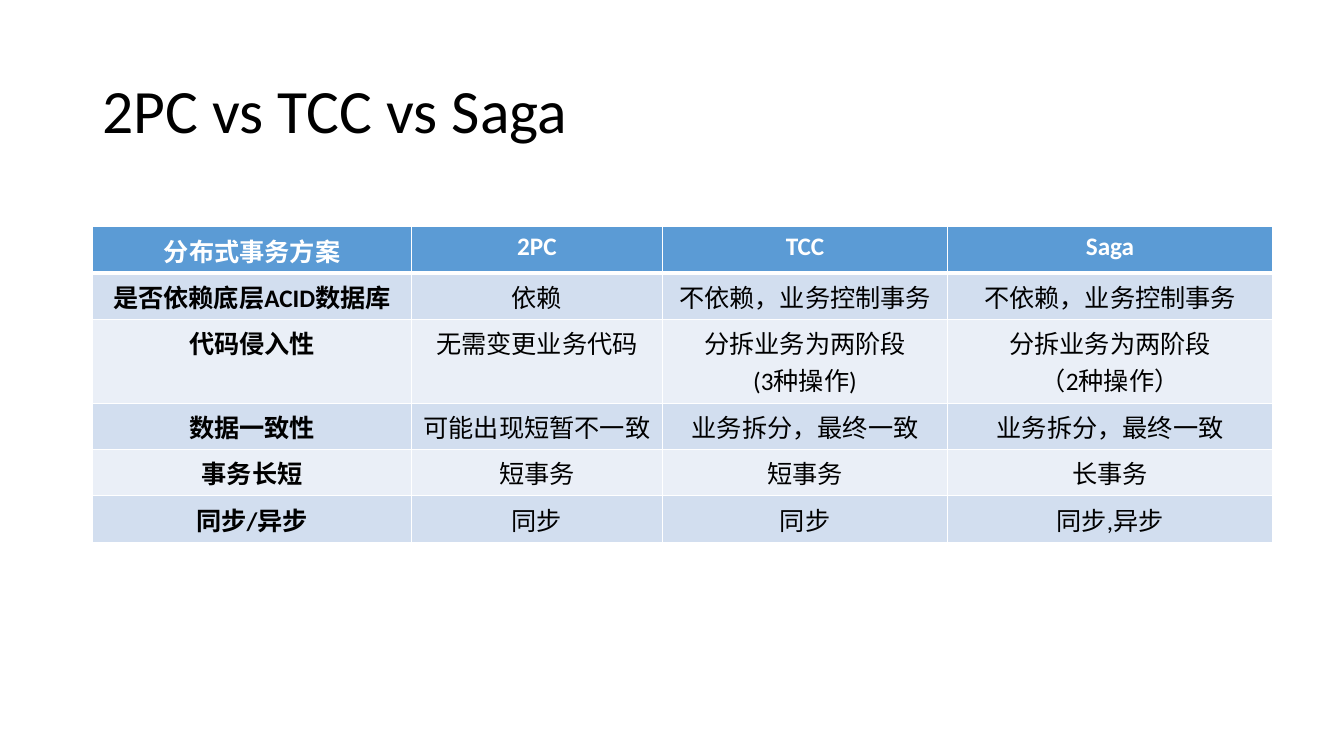
from lxml.etree import SubElement
from pptx import Presentation
from pptx.dml.color import RGBColor
from pptx.enum.text import MSO_ANCHOR as Anchor, PP_ALIGN as Align
from pptx.oxml.ns import qn
from pptx.util import Inches, Pt

BLACK, WHITE = "000000", "FFFFFF"
HEADER_BLUE = "5B9BD5"
BANDS = ("D2DEEF", "EAEFF7")
COLUMN_WIDTHS = (3.16, 2.49, 2.83, 3.22)
ROW_HEIGHTS = (0.46, 0.46, 0.83, 0.46, 0.46, 0.46)
COMPARISON = (
    ("分布式事务方案", "2PC", "TCC", "Saga"),
    ("是否依赖底层ACID数据库", "依赖", "不依赖，业务控制事务", "不依赖，业务控制事务"),
    ("代码侵入性", "无需变更业务代码", "分拆业务为两阶段\n(3种操作)", "分拆业务为两阶段\n（2种操作）"),
    ("数据一致性", "可能出现短暂不一致", "业务拆分，最终一致", "业务拆分，最终一致"),
    ("事务长短", "短事务", "短事务", "长事务"),
    ("同步/异步", "同步", "同步", "同步,异步"),
)


def rgb(color):
    return RGBColor.from_string(color)


def style_font(font, size, color, bold=False):
    font.name = "Calibri"
    font.size = Pt(size)
    font.bold = bold
    font.color.rgb = rgb(color)


def add_title(slide, text):
    box = slide.shapes.add_textbox(Inches(0.92), Inches(0.4), Inches(11.5), Inches(1.45))
    frame = box.text_frame
    frame.word_wrap = True
    frame.vertical_anchor = Anchor.MIDDLE
    frame.text = text
    heading = frame.paragraphs[0]
    heading.line_spacing = 0.9
    style_font(heading.font, 44, BLACK)


def set_borders(cell, **widths):
    """Draw white borders; widths in points by side, in the order L, R, T, B."""
    properties = cell._tc.get_or_add_tcPr()
    for side, width in widths.items():
        line = SubElement(properties, qn(f"a:ln{side}"), w=str(Pt(width)))
        fill = SubElement(line, qn("a:solidFill"))
        SubElement(fill, qn("a:srgbClr"), val=WHITE)


def fill_cell(cell, text, row, column):
    header = row == 0
    set_borders(cell, L=1, R=1, T=3 if row == 1 else 1, B=3 if header else 1)
    cell.fill.solid()
    cell.fill.fore_color.rgb = rgb(HEADER_BLUE if header else BANDS[(row - 1) % 2])
    cell.text = text
    for paragraph in cell.text_frame.paragraphs:
        paragraph.alignment = Align.CENTER
        style_font(paragraph.font, 18, WHITE if header else BLACK, header or column == 0)


def add_comparison(slide):
    frame = slide.shapes.add_table(
        len(COMPARISON), len(COLUMN_WIDTHS), Inches(0.92), Inches(2.25),
        Inches(sum(COLUMN_WIDTHS)), Inches(sum(ROW_HEIGHTS)))
    table = frame.table
    table.first_col = True
    for column, width in zip(table.columns, COLUMN_WIDTHS):
        column.width = Inches(width)
    for row, height in zip(table.rows, ROW_HEIGHTS):
        row.height = Inches(height)
    for row, texts in enumerate(COMPARISON):
        for column, text in enumerate(texts):
            fill_cell(table.cell(row, column), text, row, column)


def main():
    deck = Presentation()
    deck.slide_width, deck.slide_height = Inches(13.33), Inches(7.5)
    slide = deck.slides.add_slide(deck.slide_layouts[6])
    add_title(slide, "2PC vs TCC vs Saga")
    add_comparison(slide)
    deck.save("out.pptx")


if __name__ == "__main__":
    main()
